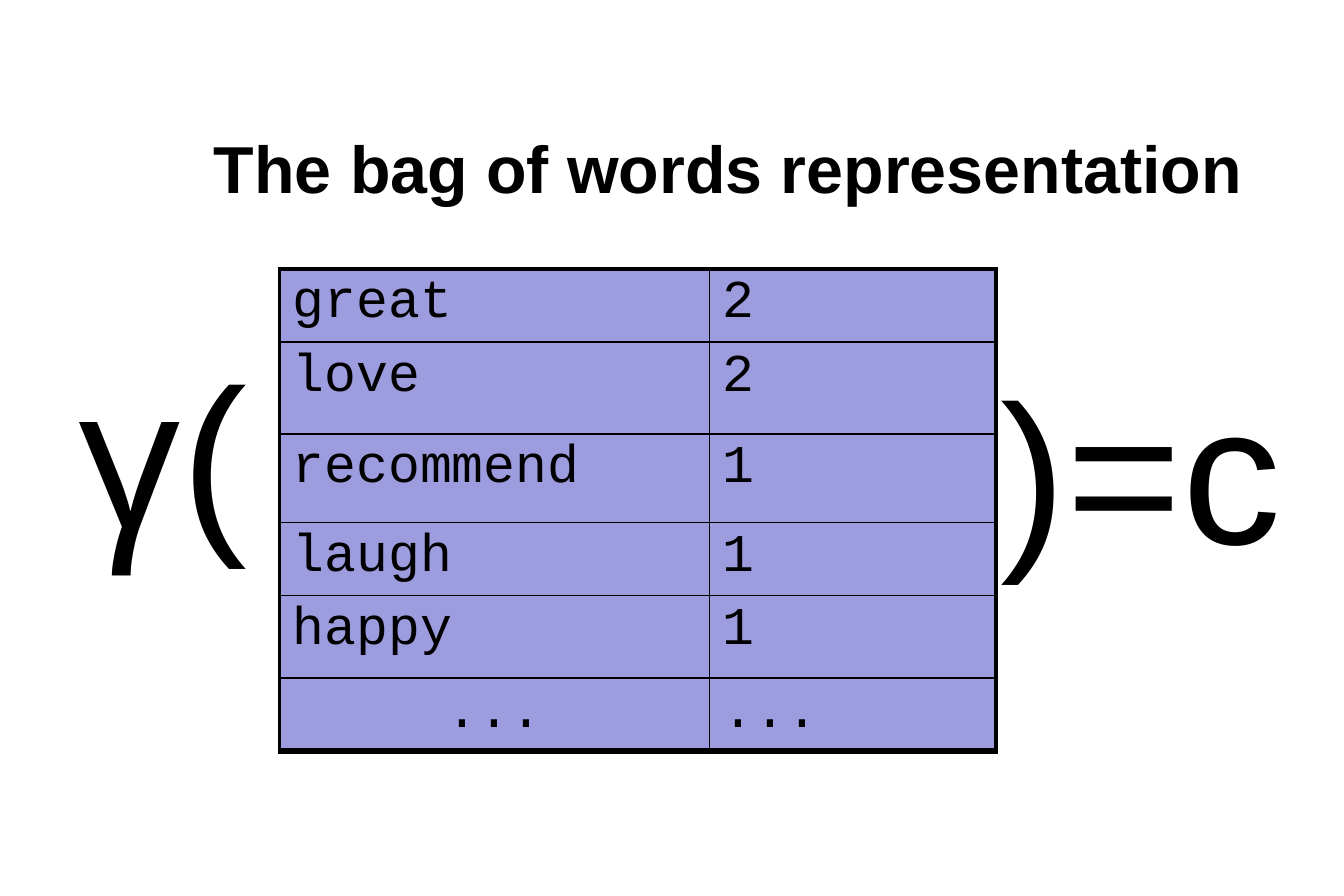
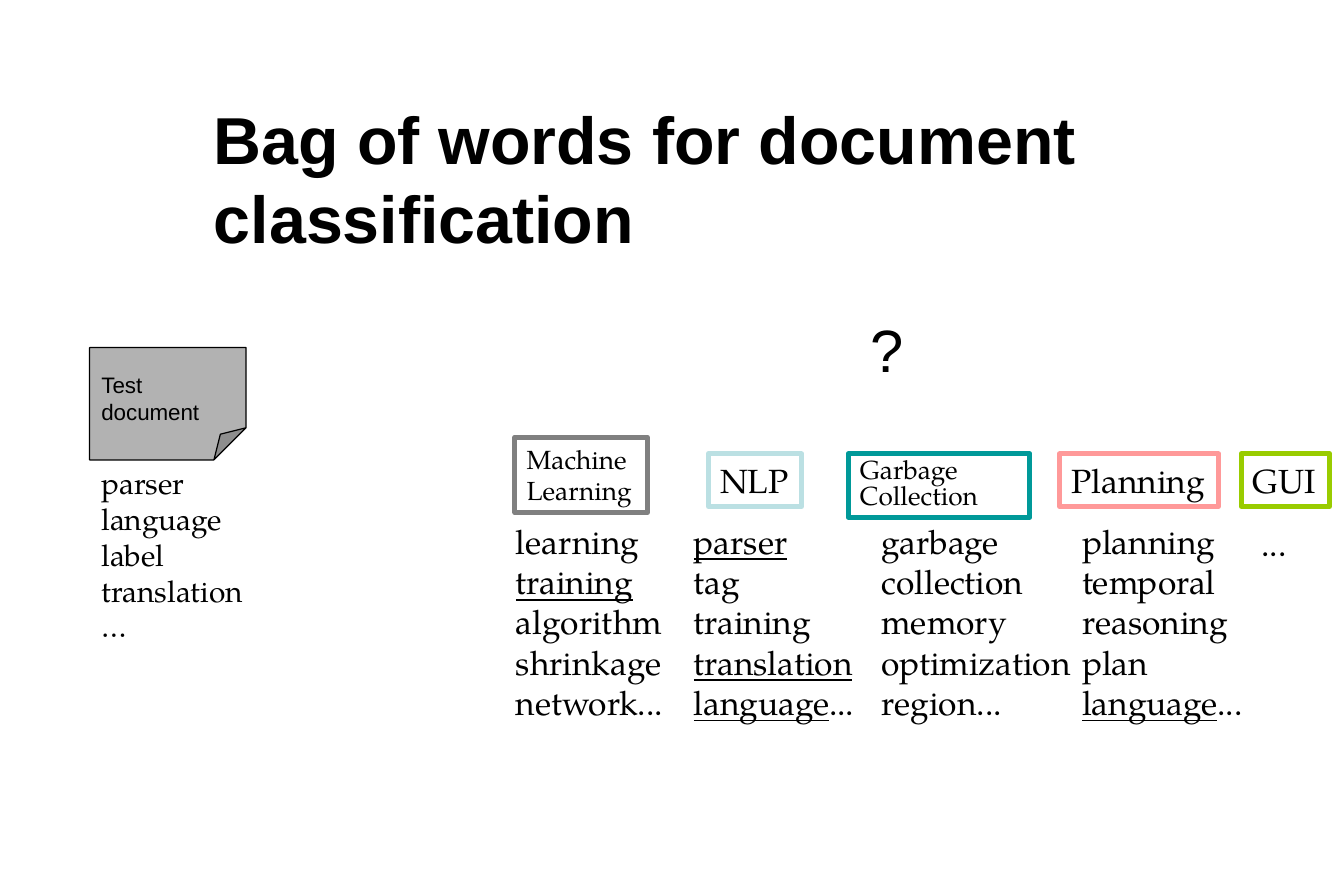
"""Build two slides on the bag of words representation of documents."""
from lxml import etree
from pptx import Presentation
from pptx import util as u
from pptx.dml.color import RGBColor
from pptx.enum import shapes, text
from pptx.oxml import ns

HUES = {"ink": "000000", "table": "9C9CDF", "note": "B2B2B2", "learn": "808080",
        "nlp": "BBE0E3", "trash": "009999", "plan": "FF9999", "gui": "99CC00"}
SANS, SERIF, MONO = "Arial", "TeX Gyre Pagella", "Courier New"
COLS, ROWS = 45, 30

deck = Presentation()
deck.slide_width, deck.slide_height = u.Inches(11.25), u.Inches(7.5)
col, row = deck.slide_width / COLS, deck.slide_height / ROWS


def grid(x, y, w, h):
    """Turn columns and rows of the slide grid into lengths."""
    return [u.Emu(round(n)) for n in (x * col, y * row, w * col, h * row)]


def put(frame, words, size, font=SERIF, bold=False, wrap=False, anchor="TOP",
        align="LEFT", space=None, alt=None):
    """Write lines of text; parts between underscores get the alt font or an underline."""
    frame.word_wrap = wrap
    frame.vertical_anchor = getattr(text.MSO_ANCHOR, anchor)
    for i, line in enumerate(words.split("\n")):
        para = frame.add_paragraph() if i else frame.paragraphs[0]
        para.alignment = getattr(text.PP_ALIGN, align)
        if space:
            para.line_spacing = space
        for j, part in enumerate(line.split("_")):
            if not part:
                continue
            run = para.add_run()
            run.text = part
            run.font.size, run.font.bold = u.Pt(size), bold
            run.font.name = alt if alt and j % 2 else font
            run.font.underline = bool(j % 2 and not alt)
            run.font.color.rgb = RGBColor.from_string(HUES["ink"])


pages = []
for words, top in (("The bag of words representation", 3.76),
                   ("Bag of words for document classification", 4.12)):
    page = deck.slides.add_slide(deck.slide_layouts[5])
    title = page.shapes.title
    title.left, title.top, title.width, title.height = grid(6.76, top, 36.76, 3.64)
    put(title.text_frame, words, 40, SANS, bold=True, wrap=True, anchor="MIDDLE")
    pages.append(page.shapes)
bag, topics = pages

back = bag.add_shape(shapes.MSO_SHAPE.RECTANGLE, *grid(9.36, 9, 24, 16.12))
back.shadow.inherit = False
back.fill.solid()
back.fill.fore_color.rgb = RGBColor.from_string(HUES["table"])
back.line.color.rgb = RGBColor.from_string(HUES["ink"])
back.line.width = u.Pt(2.25)

left = bag.add_textbox(*grid(2.24, 10.88, 6.76, 8.44))
put(left.text_frame, "_γ_(", 119.2, SANS, wrap=True, alt="Noto Sans")
right = bag.add_textbox(*grid(33.12, 11.4, 10.28, 8.44))
put(right.text_frame, ")=c", 119.2, SANS)

counts = [("great", "2"), ("love", "2"), ("recommend", "1"),
          ("laugh", "1"), ("happy", "1"), ("...", "...")]
highs = [2.44, 3.08, 2.96, 2.44, 2.76, 2.48]
table = bag.add_table(len(counts), 2, *grid(9.36, 9, 24, sum(highs))).table
table.first_row = table.horz_banding = False
for c, wide in enumerate((14.4, 9.6)):
    table.columns[c].width = round(wide * col)
for r, pair in enumerate(counts):
    table.rows[r].height = round(highs[r] * row)
    last = r == len(counts) - 1
    for c, word in enumerate(pair):
        cell = table.cell(r, c)
        cell.margin_left = cell.margin_right = u.Inches(0.11)
        cell.margin_top = cell.margin_bottom = u.Inches(0.04)
        put(cell.text_frame, word, 32, MONO, wrap=True,
            align="CENTER" if last and c == 0 else "LEFT")
        props = cell._tc.get_or_add_tcPr()
        for side, outer in (("L", c == 0), ("R", c == 1), ("T", r == 0), ("B", last)):
            edge = etree.SubElement(props, ns.qn("a:ln" + side),
                                    w=str(int(u.Pt(2.25 if outer else 1))))
            fill = etree.SubElement(edge, ns.qn("a:solidFill"))
            etree.SubElement(fill, ns.qn("a:srgbClr"), val=HUES["ink"])
        cell.fill.background()

heads = [("Machine Learning", "learn", (17.24, 14.64, 4.44, 2.52), 15.8, True, None),
         ("NLP", "nlp", (23.72, 15.2, 3.12, 1.76), 20.2, False, None),
         ("Garbage\nCollection", "trash", (28.4, 15.2, 6.08, 2.12), 15.8, True, 0.8),
         ("Planning", "plan", (35.48, 15.2, 5.32, 1.76), 20.2, False, None),
         ("GUI", "gui", (41.56, 15.2, 2.96, 1.76), 20.2, False, None)]
for words, hue, spot, size, wrap, space in heads:
    head = topics.add_shape(shapes.MSO_SHAPE.RECTANGLE, *grid(*spot))
    head.shadow.inherit = False
    head.fill.background()
    head.line.color.rgb = RGBColor.from_string(HUES[hue])
    head.line.width = u.Pt(3)
    put(head.text_frame, words, size, wrap=wrap, space=space)

lists = [("learning\n_training_\nalgorithm\nshrinkage\nnetwork...", 16.88, 17.24, 5.88, 7.2),
         ("_parser_\ntag\ntraining\n_translation_\n_language_...", 22.84, 17.24, 6.28, 7.2),
         ("garbage\ncollection\nmemory\noptimization\nregion...", 29.12, 17.24, 7.24, 7.2),
         ("planning\ntemporal\nreasoning\nplan\n_language_...", 35.84, 17.24, 6.28, 7.2),
         ("...", 41.84, 17.32, 1.68, 1.76)]
for words, *spot in lists:
    put(topics.add_textbox(*grid(*spot)).text_frame, words, 20.2)

test = topics.add_group_shape().shapes
note = test.add_shape(shapes.MSO_SHAPE.FOLDED_CORNER, *grid(3, 11.64, 5.24, 3.76))
for fold in note._element.iter(ns.qn("a:avLst")):
    etree.SubElement(fold, ns.qn("a:gd"), name="adj", fmla="val 28600")
note.shadow.inherit = False
note.fill.solid()
note.fill.fore_color.rgb = RGBColor.from_string(HUES["note"])
note.line.color.rgb = RGBColor.from_string(HUES["ink"])
note.line.width = u.Pt(0.75)
note.text_frame.margin_top = u.Inches(0.2)
put(note.text_frame, "Test\ndocument", 13.5, SANS, wrap=True)
terms = test.add_textbox(*grid(3, 15.36, 5.64, 6.48))
put(terms.text_frame, "parser\nlanguage\nlabel\ntranslation\n…", 18)

mark = topics.add_textbox(*grid(28.76, 10.28, 1.92, 2.84))
put(mark.text_frame, "?", 36, SANS)

deck.save("out.pptx")
